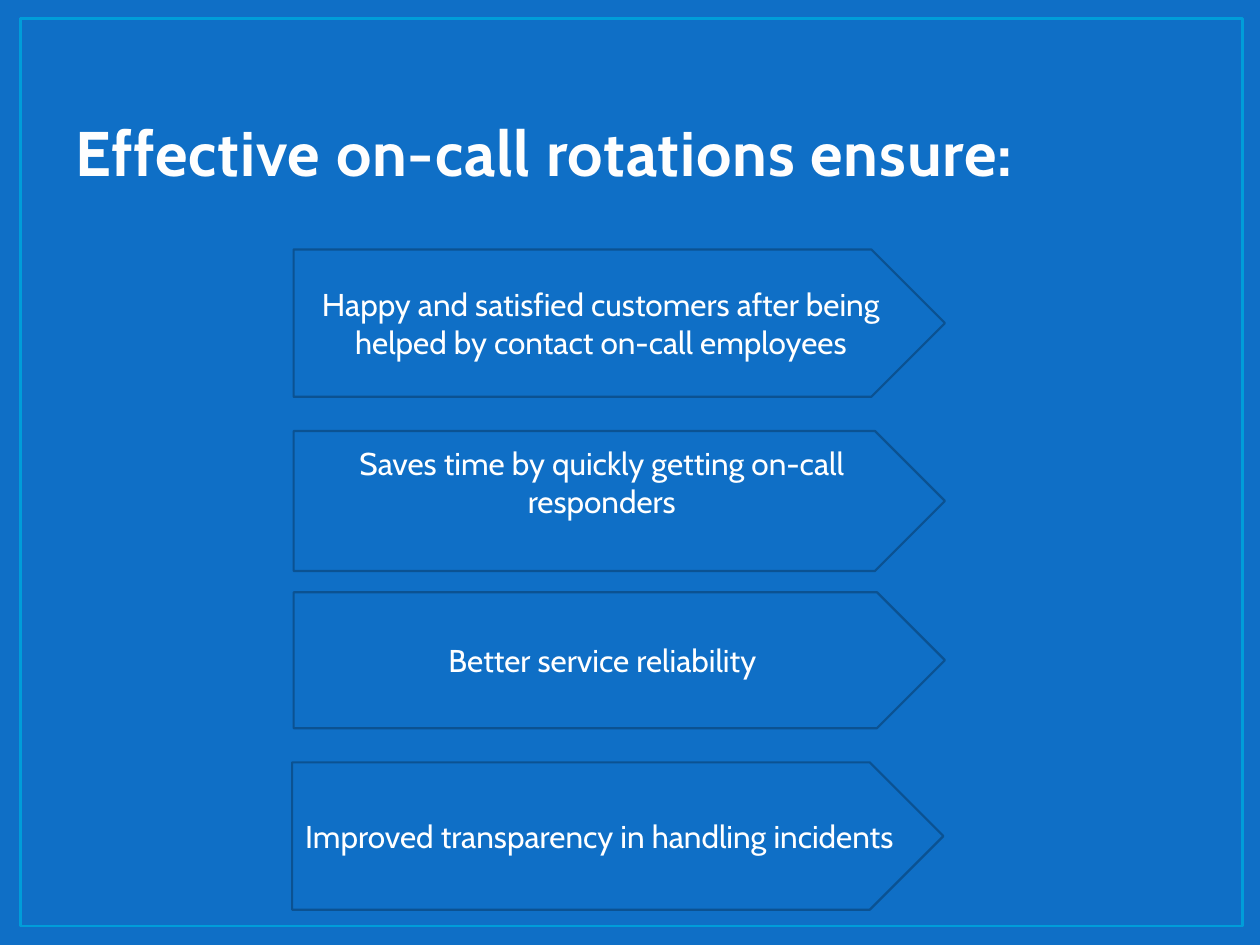
"""Build a slide listing what effective on-call rotations ensure."""
from pptx import Presentation
from pptx.dml.color import RGBColor
from pptx.enum.shapes import MSO_SHAPE
from pptx.enum.text import MSO_ANCHOR, PP_ALIGN
from pptx.util import Cm, Pt

COLORS = {"back": "0F6FC6", "frame": "009DD9", "edge": "0B5292",
          "title": "FEFEFE", "text": "FFFFFF"}


def tint(name):
    return RGBColor.from_string(COLORS[name])


def write(shape, text, size, color, anchor):
    frame = shape.text_frame
    frame.word_wrap = True
    frame.vertical_anchor = anchor
    para = frame.paragraphs[0]
    para.text = text
    para.font.name = "Cabin"
    para.font.size = Pt(size)
    para.font.color.rgb = tint(color)
    return para


deck = Presentation()
deck.slide_width, deck.slide_height = Cm(25.4), Cm(19.05)
slide = deck.slides.add_slide(deck.slide_layouts[6])
slide.background.fill.solid()
slide.background.fill.fore_color.rgb = tint("back")

border = slide.shapes.add_shape(MSO_SHAPE.RECTANGLE, Cm(0.41), Cm(0.38), Cm(24.64), Cm(18.29))
border.shadow.inherit = False
border.fill.background()
border.line.color.rgb = tint("frame")
border.line.width = Pt(1.5)

title = slide.shapes.add_textbox(Cm(1.27), Cm(0.76), Cm(22.86), Cm(3.18))
head = write(title, "Effective on-call rotations ensure:", 36, "title", MSO_ANCHOR.BOTTOM)
head.font.bold = True
head.runs[0].font._element.set("spc", "50")

arrows = [
    (5.92, 5.03, 2.97, 0.13, "Happy and satisfied customers after being helped by contact on-call employees"),
    (5.92, 8.69, 2.82, 0.88, "Saves time by quickly getting on-call responders"),
    (5.92, 11.94, 2.74, 0.13, "Better service reliability"),
    (5.89, 15.37, 2.97, 0.13, "Improved transparency in handling incidents"),
]
for left, top, height, inset, text in arrows:
    arrow = slide.shapes.add_shape(MSO_SHAPE.PENTAGON, Cm(left), Cm(top), Cm(13.13), Cm(height))
    arrow.shadow.inherit = False
    arrow.fill.solid()
    arrow.fill.fore_color.rgb = tint("back")
    arrow.line.color.rgb = tint("edge")
    arrow.line.width = Pt(1.25)
    arrow.text_frame.margin_bottom = Cm(inset)
    write(arrow, text, 18, "text", MSO_ANCHOR.MIDDLE).alignment = PP_ALIGN.CENTER

deck.save("out.pptx")
